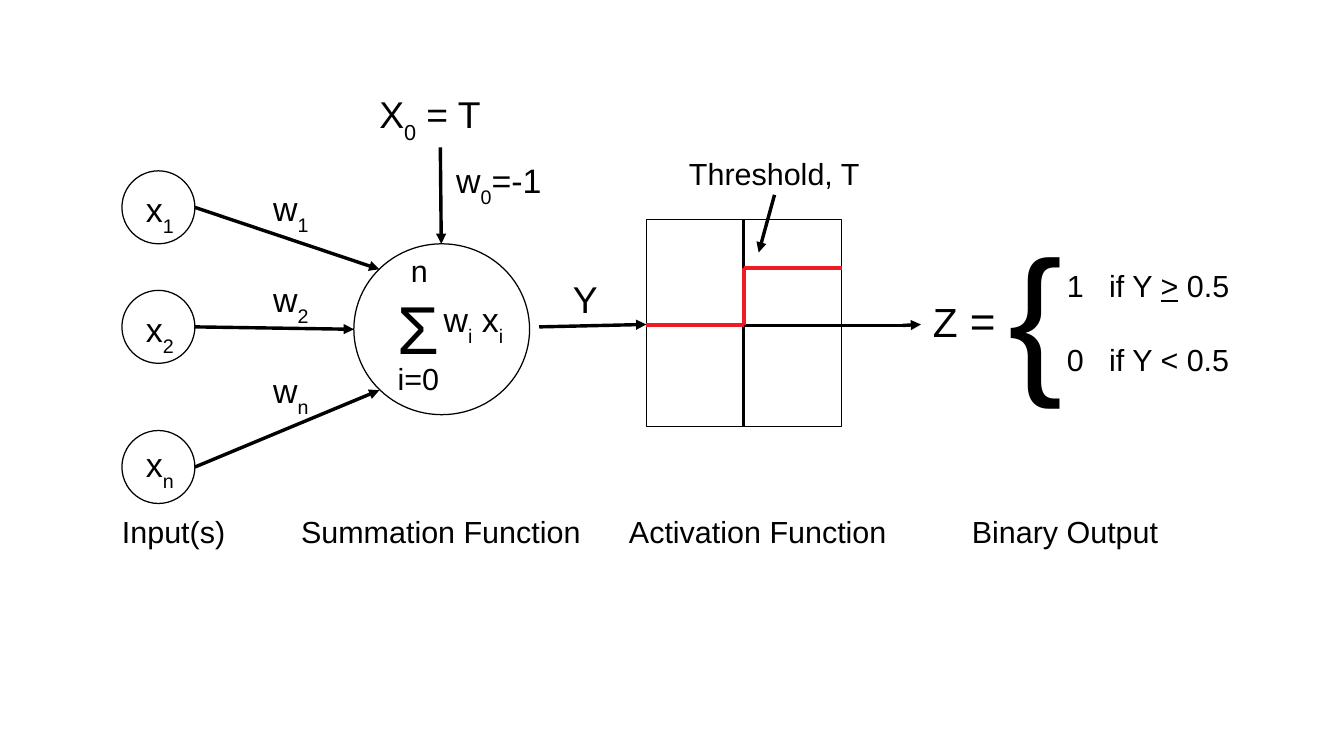
from dataclasses import dataclass
from itertools import pairwise

from lxml.etree import SubElement
from pptx import Presentation
from pptx.dml.color import RGBColor
from pptx.enum.shapes import MSO_CONNECTOR, MSO_SHAPE
from pptx.enum.text import MSO_ANCHOR, MSO_AUTO_SIZE, PP_ALIGN
from pptx.oxml.ns import qn
from pptx.util import Cm, Pt


@dataclass(frozen=True)
class Theme:
    font: str = "Arial"
    ink: RGBColor = RGBColor(0x00, 0x00, 0x00)
    step: RGBColor = RGBColor(0xED, 0x1C, 0x24)
    hairline: Pt = Pt(0)
    step_width: Pt = Pt(2.3)
    label: Pt = Pt(18)
    symbol: Pt = Pt(20)
    signal: Pt = Pt(22)
    output: Pt = Pt(24)
    equals: Pt = Pt(26)
    sigma: Pt = Pt(40)
    brace: Pt = Pt(96)


def with_subscripts(text):
    first, *rest = text.split("_")
    runs = [(first, {})]
    for part in rest:
        runs.append((part[0], {"subscript": True}))
        if part[1:]:
            runs.append((part[1:], {}))
    return runs


class Diagram:
    def __init__(self, slide, theme):
        self.slide = slide
        self.theme = theme

    def outline(self, kind, left, top, width, height):
        shape = self.slide.shapes.add_shape(kind, Cm(left), Cm(top), Cm(width), Cm(height))
        shape.shadow.inherit = False
        shape.fill.background()
        shape.line.color.rgb = self.theme.ink
        shape.line.width = self.theme.hairline

    def line(self, start, end, color=None, width=None, arrow=False):
        points = [Cm(value) for value in (*start, *end)]
        connector = self.slide.shapes.add_connector(MSO_CONNECTOR.STRAIGHT, *points)
        connector.line.color.rgb = color or self.theme.ink
        connector.line.width = width or self.theme.hairline
        properties = connector._element.spPr
        if arrow:
            SubElement(properties.find(qn("a:ln")), qn("a:tailEnd"), type="triangle")
        SubElement(properties, qn("a:effectLst"))

    def arrow(self, start, end):
        self.line(start, end, arrow=True)

    def text(self, content, left, top, width, height, size):
        return self.paragraphs([with_subscripts(content)], left, top, width, height, size)

    def paragraphs(self, rows, left, top, width, height, size):
        frame = self.slide.shapes.add_textbox(
            Cm(left), Cm(top), Cm(width), Cm(height)).text_frame
        frame_format = {"word_wrap": True, "vertical_anchor": MSO_ANCHOR.TOP,
                        "auto_size": MSO_AUTO_SIZE.SHAPE_TO_FIT_TEXT}
        for name, value in frame_format.items():
            setattr(frame, name, value)
        for index, runs in enumerate(rows):
            paragraph = frame.add_paragraph() if index else frame.paragraphs[0]
            paragraph.alignment = PP_ALIGN.LEFT
            for content, changes in runs:
                self.run(paragraph, content, size, dict(changes))
        return frame

    def run(self, paragraph, content, size, changes):
        run = paragraph.add_run()
        run.text = content
        run.font.color.rgb = self.theme.ink
        if changes.pop("subscript", False):
            run._r.get_or_add_rPr().set("baseline", "-33000")
        for name, value in {"name": self.theme.font, "size": size, **changes}.items():
            setattr(run.font, name, value)


def draw_inputs(diagram):
    symbol = diagram.theme.symbol
    inputs = [
        ("1", 3.56, 3.81, (7.9, 5.61)),
        ("2", 6.05, 6.3, (7.37, 6.86)),
        ("n", 8.97, 9.12, (7.9, 8.13)),
    ]
    for row, (index, top, text_top, target) in enumerate(inputs):
        diagram.outline(MSO_SHAPE.OVAL, 2.54, top, 1.52, 1.52)
        diagram.text(f"x_{index}", 2.79, text_top, 1.52, 1.22, symbol)
        diagram.arrow((4.06, top + 0.76), target)
        diagram.text(f"w_{index}", 5.44, 3.78 + 1.9 * row, 1.52, 1.22, symbol)


def draw_summation(diagram):
    theme = diagram.theme
    diagram.outline(MSO_SHAPE.OVAL, 7.37, 5.08, 3.66, 3.56)
    diagram.text("Σ", 8.03, 5.84, 2.54, 1.83, theme.sigma)
    diagram.text("i=0", 8.03, 7.37, 1.52, 1.27, theme.label)
    diagram.text("n", 8.31, 5.13, 1.24, 0.97, theme.label)
    diagram.text("w_i x_i", 8.99, 6.1, 2.24, 1.4, theme.symbol)
    diagram.text("X_0 = T", 7.65, 1.78, 3.07, 1.3, theme.signal)
    diagram.text("w_0=-1", 9.25, 3.2, 2.44, 2, theme.symbol)
    diagram.arrow((9.17, 3.07), (9.19, 5.08))


def draw_activation(diagram):
    theme = diagram.theme
    diagram.text("Y", 11.68, 5.64, 1.52, 1.12, theme.signal)
    diagram.arrow((11.23, 6.81), (13.46, 6.76))
    diagram.outline(MSO_SHAPE.RECTANGLE, 13.46, 4.57, 4.06, 4.32)
    diagram.line((13.46, 6.78), (18.8, 6.78))
    diagram.line((15.49, 4.57), (15.49, 8.89))
    step = [(13.46, 6.77), (15.49, 6.77), (15.49, 5.59), (17.53, 5.59)]
    for start, end in pairwise(step):
        diagram.line(start, end, theme.step, theme.step_width)
    diagram.text("Threshold, T", 14.1, 3.1, 4.57, 0.97, theme.label)
    diagram.arrow((16.13, 4.06), (15.8, 5.26))


def draw_output(diagram):
    theme = diagram.theme
    diagram.arrow((18.8, 6.78), (19.18, 6.76))
    equation = [("Z", {}), (" =", {"size": theme.equals})]
    diagram.paragraphs([equation], 19.18, 5.99, 1.98, 1.52, theme.output)
    diagram.text("{", 20.75, 4.32, 1.57, 4.85, theme.brace)
    cases = diagram.paragraphs(
        [[("1\tif Y ", {}), (">", {"underline": True}), (" 0.5", {})],
         [("0\tif Y < 0.5", {})]],
        21.97, 5.44, 4.2, 2.39, theme.label)
    cases.paragraphs[1].space_before = Pt(22)
    for case in cases.paragraphs:
        stops = SubElement(case._p.get_or_add_pPr(), qn("a:tabLst"))
        SubElement(stops, qn("a:tab"), pos=str(Cm(0.88)), algn="l")


def draw_stage_names(diagram):
    stages = {"Input(s)": 2.29, "Summation Function": 6.02,
              "Activation Function": 12.85, "Binary Output": 19.99}
    for stage, left in stages.items():
        diagram.text(stage, left, 10.57, 6.6, 0.97, diagram.theme.label)


def main():
    presentation = Presentation()
    presentation.slide_width = Cm(27.99)
    presentation.slide_height = Cm(15.75)
    slide = presentation.slides.add_slide(presentation.slide_layouts[6])
    diagram = Diagram(slide, Theme())
    for draw in (draw_inputs, draw_summation, draw_activation, draw_output, draw_stage_names):
        draw(diagram)
    presentation.save("out.pptx")


if __name__ == "__main__":
    main()
